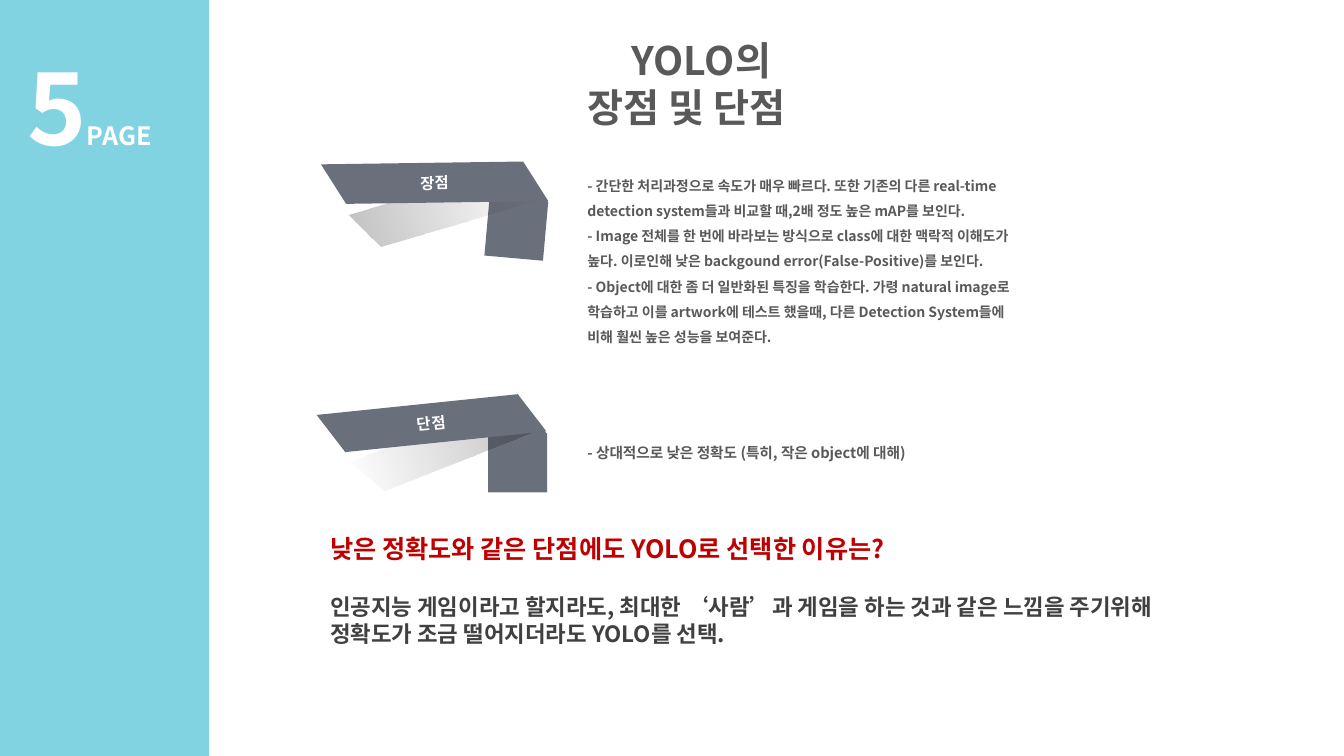
import lxml.etree
import pptx
import pptx.dml.color
import pptx.enum.shapes
import pptx.enum.text
import pptx.oxml.ns
import pptx.util

PX = 9525
FONT = "Noto Sans CJK KR"
RGBColor = pptx.dml.color.RGBColor
SKY = RGBColor(0x81, 0xD3, 0xE1)
SLATE = RGBColor(0x6A, 0x6F, 0x7C)
WHITE = RGBColor(0xFF, 0xFF, 0xFF)
BLACK = RGBColor(0, 0, 0)
GREY = RGBColor(0x59, 0x59, 0x59)
DARK_GREY = RGBColor(0x40, 0x40, 0x40)
RED = RGBColor(0xC0, 0, 0)

SHAPES = pptx.enum.shapes.MSO_SHAPE
ANCHOR = pptx.enum.text.MSO_ANCHOR
ALIGN = pptx.enum.text.PP_ALIGN
AUTO_SIZE = pptx.enum.text.MSO_AUTO_SIZE

ADVANTAGES = [
    "- 간단한 처리과정으로 속도가 매우 빠르다. 또한 기존의 다른 real-time detection system들과 비교할 때,2배 정도 높은 mAP를 보인다.",
    "- Image 전체를 한 번에 바라보는 방식으로 class에 대한 맥락적 이해도가 높다. 이로인해 낮은 backgound error(False-Positive)를 보인다.",
    "- Object에 대한 좀 더 일반화된 특징을 학습한다. 가령 natural image로 학습하고 이를 artwork에 테스트 했을때, 다른 Detection System들에 비해 훨씬 높은 성능을 보여준다.",
]
DRAWBACKS = ["- 상대적으로 낮은 정확도 (특히, 작은 object에 대해)"]
QUESTION = "낮은 정확도와 같은 단점에도 YOLO로 선택한 이유는?"
ANSWER = "인공지능 게임이라고 할지라도, 최대한 ‘사람’과 게임을 하는 것과 같은 느낌을 주기위해 정확도가 조금 떨어지더라도 YOLO를 선택."


def scaled(box):
    return [length * PX for length in box]


def apply_format(target, values):
    for name, value in values.items():
        setattr(target, name, value)


def add_run(paragraph, text, size, color):
    run = paragraph.add_run()
    run.text = text
    run.font.color.rgb = color
    apply_format(run.font, {"size": pptx.util.Pt(size), "bold": True, "name": FONT})
    east_asian = lxml.etree.SubElement(
        run.font._element, pptx.oxml.ns.qn("a:ea"))
    east_asian.set("typeface", FONT)


def write_paragraphs(frame, entries, **paragraph_format):
    for index, (text, size, color) in enumerate(entries):
        paragraph = frame.add_paragraph() if index else frame.paragraphs[0]
        apply_format(paragraph, paragraph_format)
        add_run(paragraph, text, size, color)


def add_text_box(slide, box, **frame_format):
    frame = slide.shapes.add_textbox(*scaled(box)).text_frame
    apply_format(frame, {"word_wrap": True, **frame_format})
    return frame


def add_plain_shape(shapes, kind, box, color, rotation=0, adjustment=None):
    shape = shapes.add_shape(kind, *scaled(box))
    shape.shadow.inherit = False
    shape.fill.solid()
    shape.fill.fore_color.rgb = color
    shape.line.fill.background()
    shape.rotation = rotation
    if adjustment is not None:
        shape.adjustments[0] = adjustment
    return shape


def flip(shape):
    shape._element.spPr.xfrm.set("flipH", "1")


def fade(shape, opacities):
    shape.fill.gradient()
    shape.fill.gradient_angle = 0
    for stop, opacity in zip(shape.fill.gradient_stops, opacities):
        stop.color.rgb = BLACK
    colors = shape._element.spPr.iter(pptx.oxml.ns.qn("a:srgbClr"))
    for color, opacity in zip(colors, opacities):
        alpha = lxml.etree.SubElement(color, pptx.oxml.ns.qn("a:alpha"))
        alpha.set("val", str(opacity * 1000))


def add_ribbon(slide, label, tail, shadow, band, rotations, opacities):
    shapes = slide.shapes.add_group_shape().shapes
    tail_turn, shadow_turn, band_turn = rotations
    add_plain_shape(shapes, SHAPES.SNIP_1_RECTANGLE, tail, SLATE, tail_turn, 0.5)
    shade = add_plain_shape(
        shapes, SHAPES.PARALLELOGRAM, shadow, BLACK, shadow_turn, 0.56)
    flip(shade)
    fade(shade, opacities)
    front = add_plain_shape(
        shapes, SHAPES.PARALLELOGRAM, band, SLATE, band_turn, 0.617)
    flip(front)
    front.text_frame.vertical_anchor = ANCHOR.MIDDLE
    write_paragraphs(front.text_frame, [(label, 11, WHITE)], alignment=ALIGN.CENTER)


def add_title(slide):
    title = slide.shapes.title
    left, top, width, height = scaled((550, 30, 266, 100))
    apply_format(title, {"left": left, "top": top, "width": width, "height": height})
    frame = title.text_frame
    apply_format(frame, {
        "word_wrap": True,
        "vertical_anchor": ANCHOR.TOP,
        "auto_size": AUTO_SIZE.NONE,
    })
    write_paragraphs(
        frame, [("YOLO의", 28, GREY), ("장점 및 단점", 28, GREY)],
        alignment=ALIGN.LEFT, line_spacing=1.0, space_before=pptx.util.Pt(0))
    properties = frame.paragraphs[0]._p.get_or_add_pPr()
    properties.set("indent", str(42 * PX))


def add_page_number(slide):
    frame = add_text_box(
        slide, (26, 43, 119, 116), word_wrap=False,
        margin_left=0, margin_top=0, margin_right=0, margin_bottom=0)
    for text, size in (("5", 72), ("PAGE", 18)):
        add_run(frame.paragraphs[0], text, size, WHITE)


def add_points(slide, box, points, size, **frame_format):
    frame = add_text_box(slide, box, vertical_anchor=ANCHOR.MIDDLE, **frame_format)
    write_paragraphs(
        frame, [(point, size, GREY) for point in points], line_spacing=1.5)


def add_conclusion(slide):
    frame = add_text_box(slide, (305, 503, 862, 120))
    write_paragraphs(frame, [(QUESTION, 18, RED), (ANSWER, 16, DARK_GREY)])
    frame.paragraphs[0].space_after = pptx.util.Pt(21.6)


def main():
    presentation = pptx.Presentation()
    presentation.slide_width = 1280 * PX
    presentation.slide_height = 720 * PX
    slide = presentation.slides.add_slide(presentation.slide_layouts[5])
    add_plain_shape(slide.shapes, SHAPES.RECTANGLE, (0, 0, 199, 720), SKY)
    add_page_number(slide)
    add_ribbon(
        slide, "장점", (465, 162, 56, 84), (334, 179, 173, 38),
        (306, 155, 216, 38), (5.1, 343.6, 359.2), (0, 25))
    add_points(
        slide, (550, 139, 434, 237), ADVANTAGES, 10, margin_bottom=30 * PX)
    add_ribbon(
        slide, "단점", (465, 385, 56, 84), (334, 407, 173, 38),
        (303, 384, 216, 38), (0, 338.6, 354.1), (25, 0))
    add_points(slide, (550, 369, 434, 116), DRAWBACKS, 10.5)
    add_title(slide)
    add_conclusion(slide)
    presentation.save("out.pptx")


if __name__ == "__main__":
    main()
